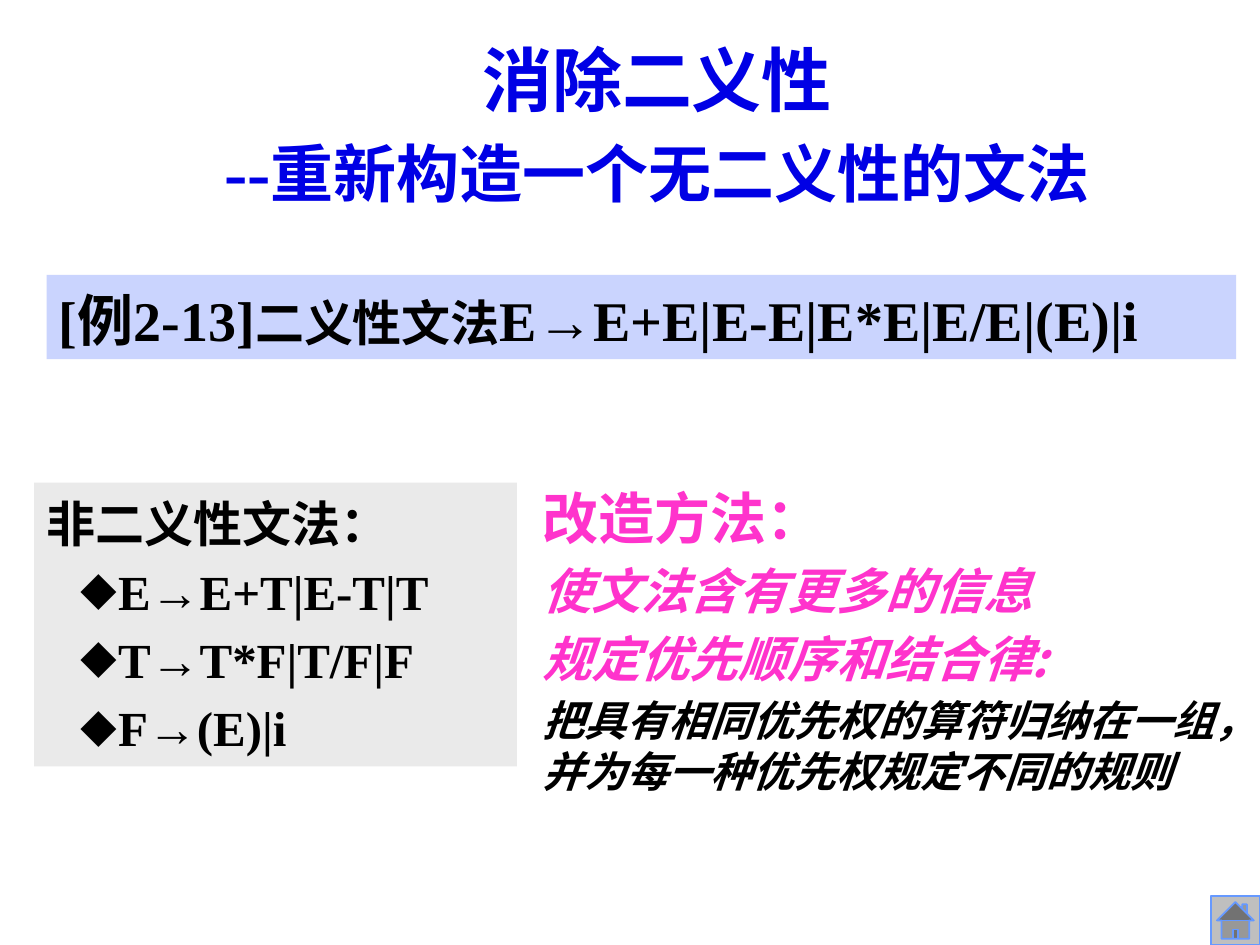
from dataclasses import dataclass

import pptx
import pptx.dml.color
import pptx.enum.shapes
import pptx.enum.text
import pptx.oxml.ns
import pptx.util
from lxml import etree

Cm = pptx.util.Cm
Pt = pptx.util.Pt
TIMES = "Times New Roman"
NOTO = "Noto Sans CJK SC"
COLORS = {
    "black": "000000",
    "blue": "0000E5",
    "pink": "FF33CC",
    "bar": "CAD4FE",
    "panel": "EAEAEA",
    "button": "BFBFBF",
    "edge": "6699FF",
}


@dataclass
class Piece:
    text: str
    size: int
    face: str = TIMES
    color: str = "black"
    slant: bool = False


@dataclass
class Line:
    pieces: list[Piece]
    bullet: bool = False
    tab: float = 0
    ratio: float = 1.19


def shade(name: str) -> pptx.dml.color.RGBColor:
    return pptx.dml.color.RGBColor.from_string(COLORS[name])


def paint(shape, name: str) -> None:
    shape.fill.solid()
    shape.fill.fore_color.rgb = shade(name)


def add(parent, tag: str, **attrs: str):
    return etree.SubElement(parent, pptx.oxml.ns.qn(tag), attrs)


def place(shape, left: float, top: float, width: float, height: float) -> None:
    shape.left, shape.top = Cm(left), Cm(top)
    shape.width, shape.height = Cm(width), Cm(height)


def style(run, piece: Piece) -> None:
    font = run.font
    font.size, font.name = Pt(piece.size), piece.face
    font.bold, font.italic = True, piece.slant
    font.color.rgb = shade(piece.color)
    add(run._r.get_or_add_rPr(), "a:ea", typeface=NOTO)


def layout(para, line: Line) -> None:
    props = para._p.get_or_add_pPr()
    left, hang = (1.44, -0.76) if line.bullet else (0, 0)
    props.set("marL", str(Cm(left)))
    props.set("indent", str(Cm(hang)))
    if line.bullet:
        add(props, "a:buSzPct", val="75000")
        add(props, "a:buFont", typeface=NOTO)
        add(props, "a:buChar", char="◆")
    else:
        add(props, "a:buNone")
    if line.tab:
        tabs = add(props, "a:tabLst")
        add(tabs, "a:tab", pos=str(Cm(line.tab)), algn="l")


def write(shape, lines: list[Line], inset: float = 0.23,
          align=pptx.enum.text.PP_ALIGN.LEFT,
          anchor=pptx.enum.text.MSO_ANCHOR.TOP) -> None:
    frame = shape.text_frame
    frame.word_wrap = True
    frame.auto_size = pptx.enum.text.MSO_AUTO_SIZE.NONE
    frame.vertical_anchor = anchor
    frame.margin_left = frame.margin_right = Cm(0.25)
    frame.margin_top, frame.margin_bottom = Cm(inset), Cm(0.13)
    for index, line in enumerate(lines):
        para = frame.add_paragraph() if index else frame.paragraphs[0]
        layout(para, line)
        first, *rest = line.pieces
        para.text = first.text
        for run in para.runs:
            style(run, first)
        for piece in rest:
            run = para.add_run()
            run.text = piece.text
            style(run, piece)
        para.alignment = align
        para.line_spacing = Pt(round(first.size * line.ratio, 1))
        para.space_before = Pt(round(first.size * 0.2, 1) if index else 0)


def block(slide, kind, fill: str, box: tuple[float, float, float, float]):
    shape = slide.shapes.add_shape(kind, *map(Cm, box))
    shape.shadow.inherit = False
    paint(shape, fill)
    shape.line.fill.background()
    return shape


def main() -> None:
    deck = pptx.Presentation()
    deck.slide_width, deck.slide_height = Cm(25.4), Cm(19.05)
    slide = deck.slides.add_slide(deck.slide_layouts[1])
    kinds = pptx.enum.shapes.MSO_SHAPE

    title = slide.shapes.title
    place(title, 3.3, 0.28, 19.89, 4.01)
    write(title, [Line([
        Piece("消除二义性\v--", 40, color="blue"),
        Piece("重新构造一个无二义性的文法", 36, color="blue"),
    ], ratio=1.31)], 0.4, pptx.enum.text.PP_ALIGN.CENTER,
        pptx.enum.text.MSO_ANCHOR.MIDDLE)

    bar = block(slide, kinds.RECTANGLE, "bar", (0.94, 5.54, 23.98, 1.7))
    write(bar, [Line([
        Piece("[例2-13]", 32),
        Piece("二义性文法\t", 28),
        Piece("E→E+E|E-E|E*E|E/E|(E)|i", 32),
    ], tab=10.36)])

    rules = slide.placeholders[1]
    place(rules, 0.69, 9.73, 9.73, 5.72)
    paint(rules, "panel")
    write(rules, [Line([Piece("非二义性文法：", 28, NOTO)])] + [
        Line([Piece(text, 28)], bullet=True)
        for text in ("E→E+T|E-T|T", "T→T*F|T/F|F", "F→(E)|i")
    ])

    method = slide.shapes.add_textbox(Cm(10.69), Cm(9.53), Cm(15.24), Cm(6.76))
    write(method, [
        Line([Piece("改造方法：", 32, color="pink")]),
        Line([Piece("使文法含有更多的信息", 28, NOTO, "pink", True)]),
        Line([Piece("规定优先顺序和结合律:", 28, NOTO, "pink", True)]),
        Line([Piece("把具有相同优先权的算符归纳在一组，并为每一种优先权规定不同的规则",
                    24, NOTO, slant=True)]),
    ])

    home = block(slide, kinds.ACTION_BUTTON_HOME, "button",
                 (24.41, 18.06, 0.99, 0.99))
    home.line.color.rgb = shade("edge")
    home.line.width = Pt(1)

    deck.save("out.pptx")


if __name__ == "__main__":
    main()
